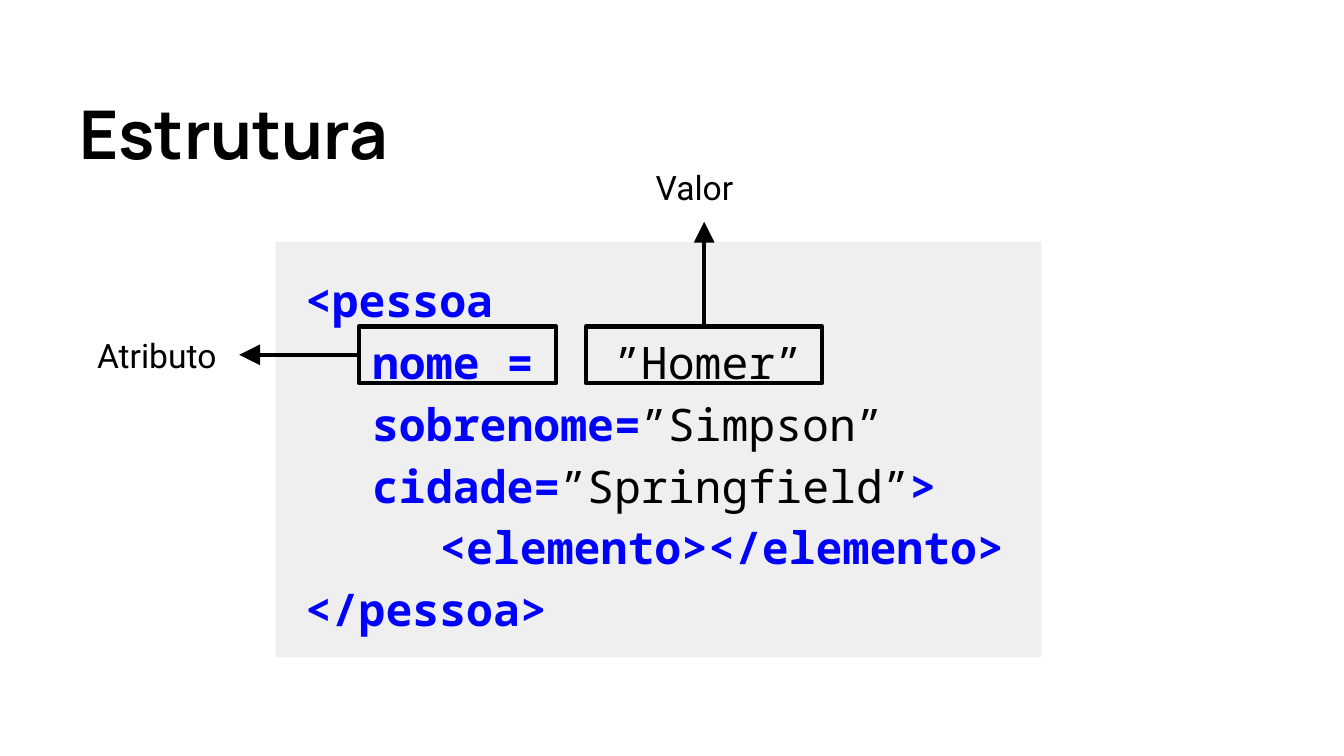
from pptx import Presentation
from pptx.dml.color import RGBColor
from pptx.enum.shapes import MSO_CONNECTOR, MSO_SHAPE
from pptx.enum.text import MSO_ANCHOR, MSO_AUTO_SIZE, PP_ALIGN
from pptx.oxml.ns import qn
from pptx.util import Inches, Pt
from lxml import etree

THEME = {
    "ink": "000000", "tag": "0000FF", "panel": "EFEFEF",
    "title": ("Manrope", 36), "code": ("Noto Sans Mono", 24), "label": ("Roboto", 18),
    "line": 2.25, "inset": 0.1, "indent": 0.5,
}

TITLE = "Estrutura"
CODE = [
    (0, [("<pessoa", "tag")]),
    (1, [("nome =   ", "tag"), ("”Homer”", "ink")]),
    (1, [("sobrenome=", "tag"), ("”Simpson”", "ink")]),
    (1, [("cidade=", "tag"), ("”Springfield”", "ink"), (">", "tag")]),
    (2, [("<elemento></elemento>", "tag")]),
    (0, [("</pessoa>", "tag")]),
]
CALLOUTS = [
    {"text": "Atributo", "frame": (2.67, 2.43, 1.47, 0.42), "side": 1, "tip": (1.78, 2.64),
     "label": (0.18, 2.36, 1.53, 0.56), "align": PP_ALIGN.RIGHT, "margin": 0},
    {"text": "Valor", "frame": (4.36, 2.43, 1.76, 0.42), "side": 0, "tip": (5.24, 1.65),
     "label": (4.59, 1.11, 1.53, 0.56), "align": PP_ALIGN.LEFT, "margin": 0.19},
]


def rgb(name):
    return RGBColor.from_string(THEME[name])


def set_text(sp, paragraphs, style, bold=False, align=PP_ALIGN.LEFT, spacing=1.0, margin=0, indent=0):
    tf = sp.text_frame
    tf.word_wrap = True
    tf.auto_size = MSO_AUTO_SIZE.NONE
    tf.vertical_anchor = MSO_ANCHOR.MIDDLE
    tf.margin_left = tf.margin_right = tf.margin_top = tf.margin_bottom = Inches(THEME["inset"])
    family, size = THEME[style]
    for i, (level, runs) in enumerate(paragraphs):
        p = tf.add_paragraph() if i else tf.paragraphs[0]
        p.alignment = align
        p.line_spacing = spacing
        p.space_before = p.space_after = Pt(0)
        pPr = p._p.get_or_add_pPr()
        pPr.set("marL", str(Inches(margin + level * indent)))
        pPr.set("indent", str(Inches(indent)))
        for text, color in runs:
            r = p.add_run()
            r.text = text
            r.font.name, r.font.size = family, Pt(size)
            r.font.bold = bold and (style != "code" or color == "tag")
            r.font.color.rgb = rgb(color)


def add_rect(s, box, fill=None, line=None):
    sp = s.shapes.add_shape(MSO_SHAPE.RECTANGLE, *map(Inches, box))
    sp.shadow.inherit = False
    if fill:
        sp.fill.solid()
        sp.fill.fore_color.rgb = rgb(fill)
    else:
        sp.fill.background()
    if line:
        sp.line.color.rgb = rgb(line)
        sp.line.width = Pt(THEME["line"])
        etree.SubElement(sp.line._get_or_add_ln(), qn("a:round"))
    else:
        sp.line.fill.background()
    return sp


def add_arrow(s, frame, side, tip):
    x, y = map(Inches, tip)
    cx = s.shapes.add_connector(MSO_CONNECTOR.STRAIGHT, x, y, x, y)
    cx.begin_connect(frame, side)
    cx.end_x, cx.end_y = x, y
    cx.line.color.rgb = rgb("ink")
    cx.line.width = Pt(THEME["line"])
    etree.SubElement(cx.line._get_or_add_ln(), qn("a:tailEnd"), type="triangle", w="lg", len="lg")
    etree.SubElement(cx._element.spPr, qn("a:effectLst"))


def main():
    prs = Presentation()
    prs.slide_width = Inches(10)
    prs.slide_height = prs.slide_width * 9 // 16
    s = prs.slides.add_slide(prs.slide_layouts[5])

    title = s.shapes.title
    title.left, title.top, title.width, title.height = map(Inches, (0.49, 0.66, 9.33, 0.56))
    set_text(title, [(0, [(TITLE, "ink")])], "title", bold=True, spacing=1.15)

    add_rect(s, (2.05, 1.8, 5.7, 3.09), fill="panel")
    code = s.shapes.add_textbox(*map(Inches, (1.67, 1.73, 6.28, 3.24)))
    set_text(code, CODE, "code", bold=True, spacing=1.15, indent=THEME["indent"])

    for c in CALLOUTS:
        frame = add_rect(s, c["frame"], line="ink")
        add_arrow(s, frame, c["side"], c["tip"])
        label = s.shapes.add_textbox(*map(Inches, c["label"]))
        set_text(label, [(0, [(c["text"], "ink")])], "label", align=c["align"], margin=c["margin"])

    prs.save("out.pptx")


if __name__ == "__main__":
    main()
